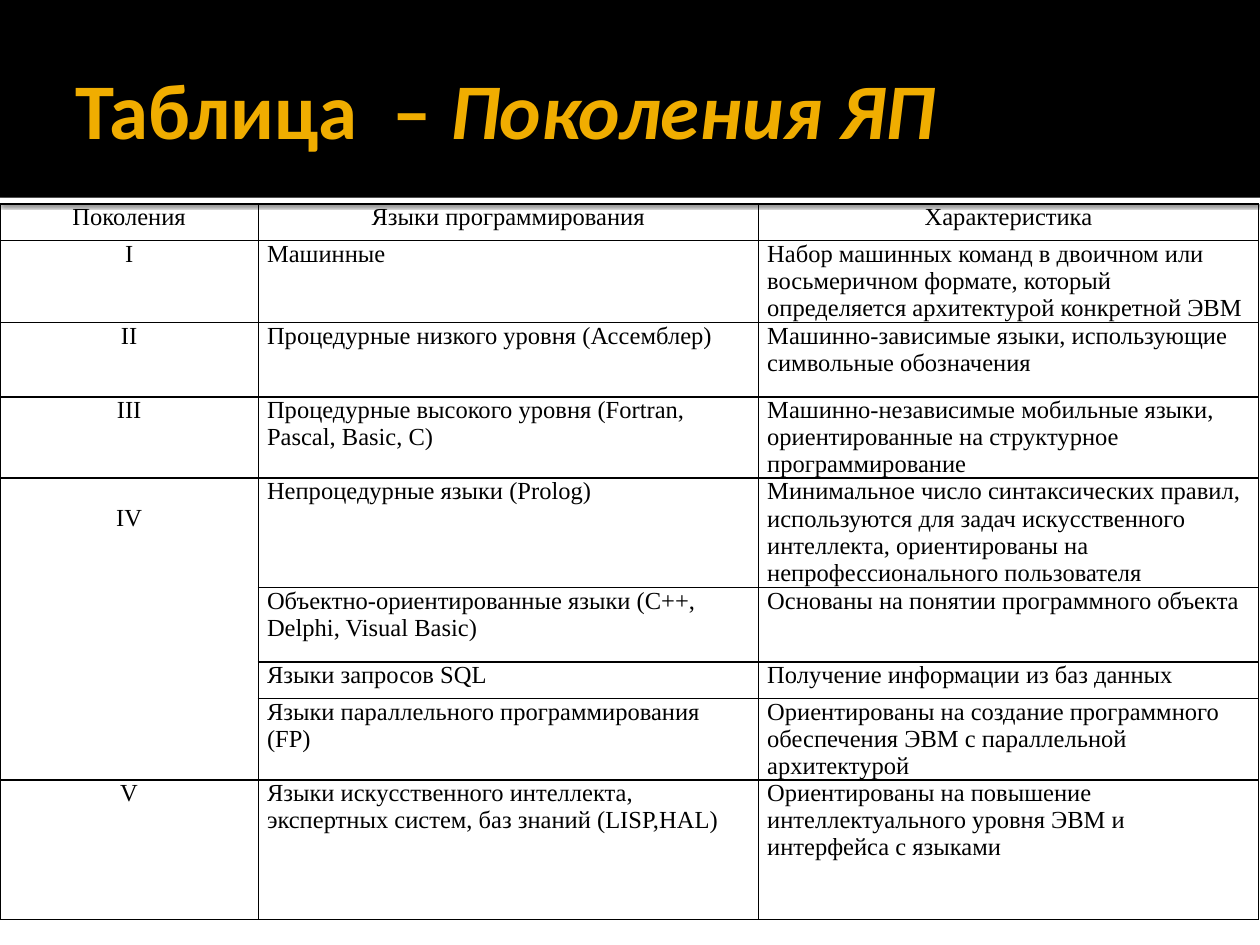
from lxml import etree
from pptx import Presentation
from pptx import util as u
from pptx.dml.color import RGBColor
from pptx.enum import shapes, text
from pptx.oxml import parse_xml
from pptx.oxml.ns import nsdecls, qn

BLACK, WHITE, GOLD = "000000", "FFFFFF", "F0AD00"
COLUMN_WIDTHS = [2.05, 3.97, 3.97]
ROW_HEIGHTS = [0.29, 0.65, 0.59, 0.64, 0.87, 0.59, 0.29, 0.64, 1.11]
FOURTH_FIRST, FOURTH_LAST = 4, 7  # rows of generation IV
LINE_HEIGHT = 0.21

ROWS = [
    ("Поколения", "Языки программирования", "Характеристика"),
    ("I", "Машинные",
     "Набор машинных команд в двоичном или восьмеричном формате, "
     "который определяется архитектурой конкретной ЭВМ"),
    ("II", "Процедурные низкого уровня (Ассемблер)",
     "Машинно-зависимые языки, использующие символьные обозначения"),
    ("III", "Процедурные высокого уровня (Fortran, Pascal, Basic, C)",
     "Машинно-независимые мобильные языки, ориентированные на "
     "структурное программирование"),
    ("IV", "Непроцедурные языки (Prolog)",
     "Минимальное число синтаксических правил, используются для задач "
     "искусственного интеллекта, ориентированы на непрофессионального "
     "пользователя"),
    ("", "Объектно-ориентированные языки (C++, Delphi, Visual Basic)",
     "Основаны на понятии программного объекта"),
    ("", "Языки запросов SQL", "Получение информации из баз данных"),
    ("", "Языки параллельного программирования (FP)",
     "Ориентированы на создание программного обеспечения ЭВМ с "
     "параллельной архитектурой"),
    ("V", "Языки искусственного интеллекта, экспертных систем, "
     "баз знаний (LISP,HAL)",
     "Ориентированы на повышение интеллектуального уровня ЭВМ и "
     "интерфейса с языками"),
]


def color(value):
    return RGBColor.from_string(value)


def add_band(page, top, height, fill):
    band = page.shapes.add_shape(
        shapes.MSO_SHAPE.RECTANGLE, 0, u.Inches(top), u.Inches(10), u.Inches(height))
    band.shadow.inherit = False
    band.fill.solid()
    band.fill.fore_color.rgb = color(fill)
    band.line.fill.background()
    return band


def add_shadow(shape):
    effects = shape.element.spPr.find(qn("a:effectLst"))
    effects.append(parse_xml(
        f'<a:outerShdw {nsdecls("a")} blurRad="{u.Pt(2.5)}" dist="{u.Pt(0.8)}" '
        f'dir="5400000" algn="tl" rotWithShape="0"><a:srgbClr val="{BLACK}">'
        '<a:alpha val="60000"/></a:srgbClr></a:outerShdw>'))


def format_title(title):
    title.left, title.top = u.Inches(0.5), u.Inches(0.17)
    title.width, title.height = u.Inches(9), u.Inches(1.37)
    # Bring the title in front of the bands
    title.element.getparent().append(title.element)
    frame = title.text_frame
    frame.word_wrap = True
    frame.auto_size = text.MSO_AUTO_SIZE.NONE
    frame.vertical_anchor = text.MSO_ANCHOR.MIDDLE
    frame.margin_left = u.Inches(0.1)
    frame.margin_right = frame.margin_top = frame.margin_bottom = u.Inches(0.05)
    para = frame.paragraphs[0]
    para.alignment = text.PP_ALIGN.LEFT
    para.font.name, para.font.size, para.font.bold = "Calibri", u.Pt(45), True
    para.font.color.rgb = color(GOLD)
    para.add_run().text = "Таблица  – "
    span = para.add_run()
    span.text = "Поколения ЯП"
    span.font.italic = True


def set_borders(cell):
    properties = cell._tc.get_or_add_tcPr()
    for position, side in enumerate(("lnL", "lnR", "lnT", "lnB")):
        line = etree.Element(qn(f"a:{side}"), w=str(u.Pt(1)))
        fill = etree.SubElement(line, qn("a:solidFill"))
        etree.SubElement(fill, qn("a:srgbClr"), val=BLACK)
        properties.insert(position, line)


def format_cell(cell, content, centered):
    cell.fill.background()
    set_borders(cell)
    cell.margin_left = cell.margin_right = u.Inches(0.07)
    cell.margin_top = cell.margin_bottom = 0
    para = cell.text_frame.paragraphs[0]
    para.text = content
    para.alignment = text.PP_ALIGN.CENTER if centered else text.PP_ALIGN.LEFT
    para.font.name, para.font.size = "Times New Roman", u.Pt(14)
    para.font.color.rgb = color(BLACK)


def add_generations_table(page):
    table = page.shapes.add_table(
        len(ROWS), len(COLUMN_WIDTHS), 0, u.Inches(1.62),
        u.Inches(sum(COLUMN_WIDTHS)), u.Inches(sum(ROW_HEIGHTS))).table
    table.first_row = table.horz_banding = False
    for column, width in zip(table.columns, COLUMN_WIDTHS):
        column.width = u.Inches(width)
    for row, height in zip(table.rows, ROW_HEIGHTS):
        row.height = u.Inches(height)
    for r, contents in enumerate(ROWS):
        for c, content in enumerate(contents):
            format_cell(table.cell(r, c), content, centered=r == 0 or c == 0)
    # Generation IV covers four rows, its label one line down
    fourth = table.cell(FOURTH_FIRST, 0)
    fourth.merge(table.cell(FOURTH_LAST, 0))
    fourth.margin_top = u.Inches(LINE_HEIGHT)


def main():
    deck = Presentation()
    deck.slide_width, deck.slide_height = u.Inches(10), u.Inches(7.5)
    page = deck.slides.add_slide(deck.slide_layouts[5])
    page.background.fill.solid()
    page.background.fill.fore_color.rgb = color(WHITE)

    # Header: white strip with a shadow, black band, title
    add_shadow(add_band(page, 1.57, 0.05, WHITE))
    add_band(page, 0, 1.57, BLACK)
    format_title(page.shapes.title)

    add_generations_table(page)
    deck.save("out.pptx")


if __name__ == "__main__":
    main()
